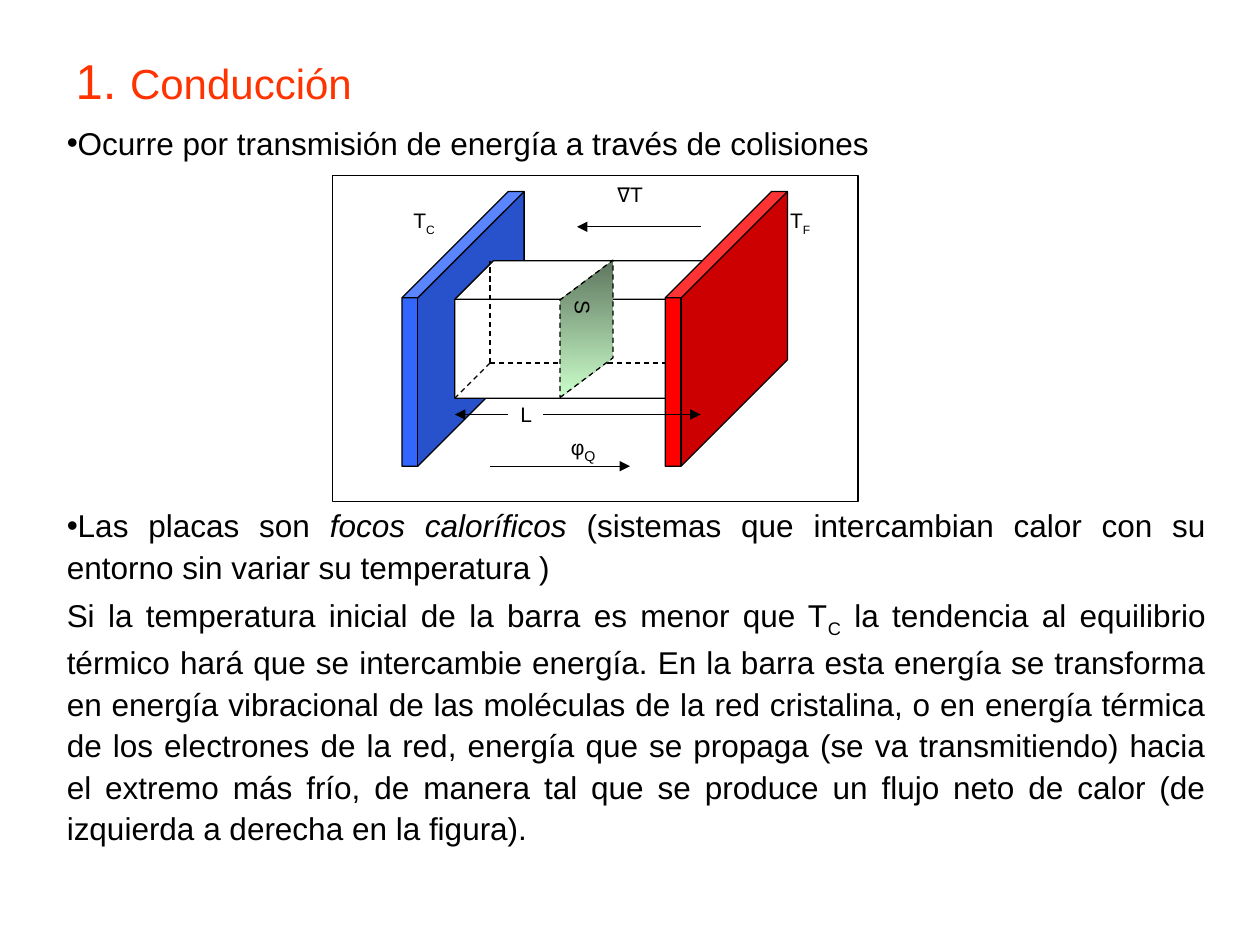
from dataclasses import dataclass
from typing import NamedTuple

import pptx
import pptx.dml.color
import pptx.enum.dml
import pptx.enum.shapes
import pptx.enum.text
import pptx.oxml
import pptx.oxml.ns
import pptx.util

Inches = pptx.util.Inches
Pt = pptx.util.Pt
MSO_SHAPE = pptx.enum.shapes.MSO_SHAPE
PP_ALIGN = pptx.enum.text.PP_ALIGN
qn = pptx.oxml.ns.qn
A_NS = pptx.oxml.ns.nsdecls("a")


@dataclass(frozen=True)
class Theme:
    font: str = "Arial"
    symbol_font: str = "DejaVu Sans Mono"
    title: str = "FF3300"
    ink: str = "000000"
    paper: str = "FFFFFF"
    hot: str = "3366FF"
    cold: str = "FF0000"
    section_dark: str = "5E765E"
    section_light: str = "CCFFCC"
    number_size: int = 28
    title_size: int = 24
    body_size: int = 18
    label_size: int = 12
    subscript_size: int = 14
    line: float = 0.75


THEME = Theme()


class Run(NamedTuple):
    text: str
    size: int = THEME.label_size
    color: str = THEME.ink
    font: str = THEME.font
    italic: bool = False
    subscript: bool = False


class Paragraph(NamedTuple):
    runs: list[Run]
    spacing: float
    before: float
    bullet: bool
    align: PP_ALIGN = PP_ALIGN.JUSTIFY


class Block(NamedTuple):
    shape: MSO_SHAPE
    box: tuple[float, float, float, float]
    fill: str
    depth: float | None = None


class Line(NamedTuple):
    start: tuple[float, float]
    end: tuple[float, float]
    arrow: bool


class Label(NamedTuple):
    left: float
    top: float
    runs: list[Run]


def body(text: str, **style) -> Run:
    return Run(text, THEME.body_size, **style)


def rgb(value: str) -> pptx.dml.color.RGBColor:
    return pptx.dml.color.RGBColor.from_string(value)


def add_runs(p, runs: list[Run]) -> None:
    for run in runs:
        r = p.add_run()
        r.text = run.text
        r.font.size = Pt(run.size)
        r.font.name = run.font
        r.font.color.rgb = rgb(run.color)
        if run.italic:
            r.font.italic = True
        if run.subscript:
            r.font._element.set("baseline", "-25000")


def place(sp, left: float, top: float, width: float, height: float) -> None:
    sp.left, sp.top, sp.width, sp.height = map(Inches, (left, top, width, height))


def fill_title(sp) -> None:
    place(sp, 0.5, 0.36, 9, 0.55)
    tf = sp.text_frame
    tf.auto_size = pptx.enum.text.MSO_AUTO_SIZE.NONE
    tf.vertical_anchor = pptx.enum.text.MSO_ANCHOR.MIDDLE
    p = tf.paragraphs[0]
    p.alignment = PP_ALIGN.JUSTIFY
    add_runs(p, [Run("1. ", THEME.number_size, THEME.title),
                 Run("Conducción", THEME.title_size, THEME.title)])


def fill_body(sp, paragraphs: list[Paragraph]) -> None:
    place(sp, 0.43, 0.99, 9.24, 6.51)
    tf = sp.text_frame
    tf.auto_size = pptx.enum.text.MSO_AUTO_SIZE.NONE
    for i, item in enumerate(paragraphs):
        p = tf.add_paragraph() if i else tf.paragraphs[0]
        p.alignment = item.align
        p.line_spacing = item.spacing
        p.space_before = Pt(item.before)
        pPr = p._p.get_or_add_pPr()
        pPr.set("marL", "0")
        pPr.set("indent", "0")
        mark = 'buChar char="•"' if item.bullet else "buNone"
        tag = mark.split()[0]
        pPr.append(pptx.oxml.parse_xml(f"<a:{mark} {A_NS}/>" if tag else ""))
        add_runs(p, item.runs)


def outline(sp) -> None:
    sp.line.color.rgb = rgb(THEME.ink)
    sp.line.width = Pt(THEME.line)


def add_block(shapes, block: Block) -> None:
    sp = shapes.add_shape(block.shape, *map(Inches, block.box))
    sp.shadow.inherit = False
    sp.fill.solid()
    sp.fill.fore_color.rgb = rgb(block.fill)
    outline(sp)
    if block.depth is not None:
        sp.adjustments[0] = block.depth


def add_line(shapes, line: Line) -> None:
    """Draw an arrow, or a dashed hidden edge."""
    cx = shapes.add_connector(pptx.enum.shapes.MSO_CONNECTOR.STRAIGHT,
                              *map(Inches, line.start + line.end))
    outline(cx)
    if line.arrow:
        cx.line._get_or_add_ln().append(
            pptx.oxml.parse_xml(f'<a:tailEnd {A_NS} type="triangle"/>'))
    else:
        cx.line.dash_style = pptx.enum.dml.MSO_LINE.DASH
    cx._element.spPr.append(pptx.oxml.parse_xml(f"<a:effectLst {A_NS}/>"))


def add_cross_section(shapes) -> None:
    sp = shapes.add_shape(MSO_SHAPE.PARALLELOGRAM, *map(Inches, (4.11, 2.4, 1.09, 0.42)))
    sp.shadow.inherit = False
    sp.rotation = 90
    sp._element.spPr.find(qn("a:xfrm")).set("flipH", "1")
    sp.adjustments[0] = 0.75
    sp.fill.gradient()
    sp.fill.gradient_angle = 270
    for stop, color in zip(sp.fill.gradient_stops, (THEME.section_dark, THEME.section_light)):
        stop.color.rgb = rgb(color)
    sp._element.spPr.find(qn("a:gradFill")).set("rotWithShape", "0")
    outline(sp)
    sp.line.dash_style = pptx.enum.dml.MSO_LINE.DASH
    tf = sp.text_frame
    tf.vertical_anchor = pptx.enum.text.MSO_ANCHOR.TOP
    tf.paragraphs[0].alignment = PP_ALIGN.LEFT
    add_runs(tf.paragraphs[0], [Run("S")])


def add_label(shapes, label: Label) -> None:
    sp = shapes.add_textbox(*map(Inches, (label.left, label.top, 0.45, 0.25)))
    tf = sp.text_frame
    tf.word_wrap = True
    tf.margin_left = tf.margin_right = tf.margin_top = tf.margin_bottom = 0
    add_runs(tf.paragraphs[0], label.runs)


PARAGRAPHS = [
    Paragraph([body("Ocurre por transmisión de energía a través de colisiones")],
              0.8, 0, True, PP_ALIGN.LEFT),
    Paragraph([body("Las placas son "), body("focos caloríficos ", italic=True),
               body("(sistemas que intercambian calor con su entorno sin variar su temperatura )")],
              1.1, 195, True),
    Paragraph([body("Si la temperatura inicial de la barra es menor que T"),
               body("C", subscript=True),
               body(" la tendencia al equilibrio térmico hará que se intercambie energía. "
                    "En la barra esta energía se transforma en energía vibracional de las "
                    "moléculas de la red cristalina, o en energía térmica de los electrones "
                    "de la red, energía que se propaga (se va transmitiendo) hacia el extremo "
                    "más frío, de manera tal que se produce un flujo neto de calor (de "
                    "izquierda a derecha en la figura).")],
              1.1, 3.6, False),
]
BLOCKS = [
    Block(MSO_SHAPE.RECTANGLE, (2.64, 1.39, 4.17, 2.59), THEME.paper),
    Block(MSO_SHAPE.CUBE, (3.19, 1.52, 0.97, 2.18), THEME.hot, 0.87),
    Block(MSO_SHAPE.CUBE, (3.61, 2.07, 2.09, 1.09), THEME.paper, 0.28),
    Block(MSO_SHAPE.CUBE, (5.28, 1.52, 0.97, 2.18), THEME.cold, 0.87),
]
CORNER = (3.89, 2.88)
HIDDEN_EDGES = [Line(CORNER, end, False) for end in ((5.28, 2.88), (3.89, 2.07), (3.61, 3.16))]
ARROWS = [
    Line((3.89, 3.7), (5, 3.7), True),
    Line((5.56, 1.8), (4.58, 1.8), True),
    Line((4.03, 3.29), (3.61, 3.29), True),
    Line((4.31, 3.29), (5.56, 3.29), True),
]
LABELS = [
    Label(4.9, 1.44, [Run("∇", font=THEME.symbol_font), Run("T")]),
    Label(3.28, 1.65, [Run("T"), Run("C", subscript=True)]),
    Label(6.27, 1.65, [Run("T"), Run("F", subscript=True)]),
    Label(4.13, 3.19, [Run("L")]),
    Label(4.53, 3.42, [Run("φ"), Run("Q", THEME.subscript_size, subscript=True)]),
]


def main() -> None:
    prs = pptx.Presentation()
    prs.slide_width, prs.slide_height = Inches(10), Inches(7.5)
    s = prs.slides.add_slide(prs.slide_layouts[1])
    fill_title(s.shapes.title)
    fill_body(s.placeholders[1], PARAGRAPHS)
    diagram = s.shapes.add_group_shape().shapes
    for block in BLOCKS:
        add_block(diagram, block)
    for edge in HIDDEN_EDGES:
        add_line(diagram, edge)
    add_cross_section(diagram)
    for arrow in ARROWS:
        add_line(diagram, arrow)
    for label in LABELS:
        add_label(diagram, label)
    prs.save("out.pptx")


if __name__ == "__main__":
    main()
